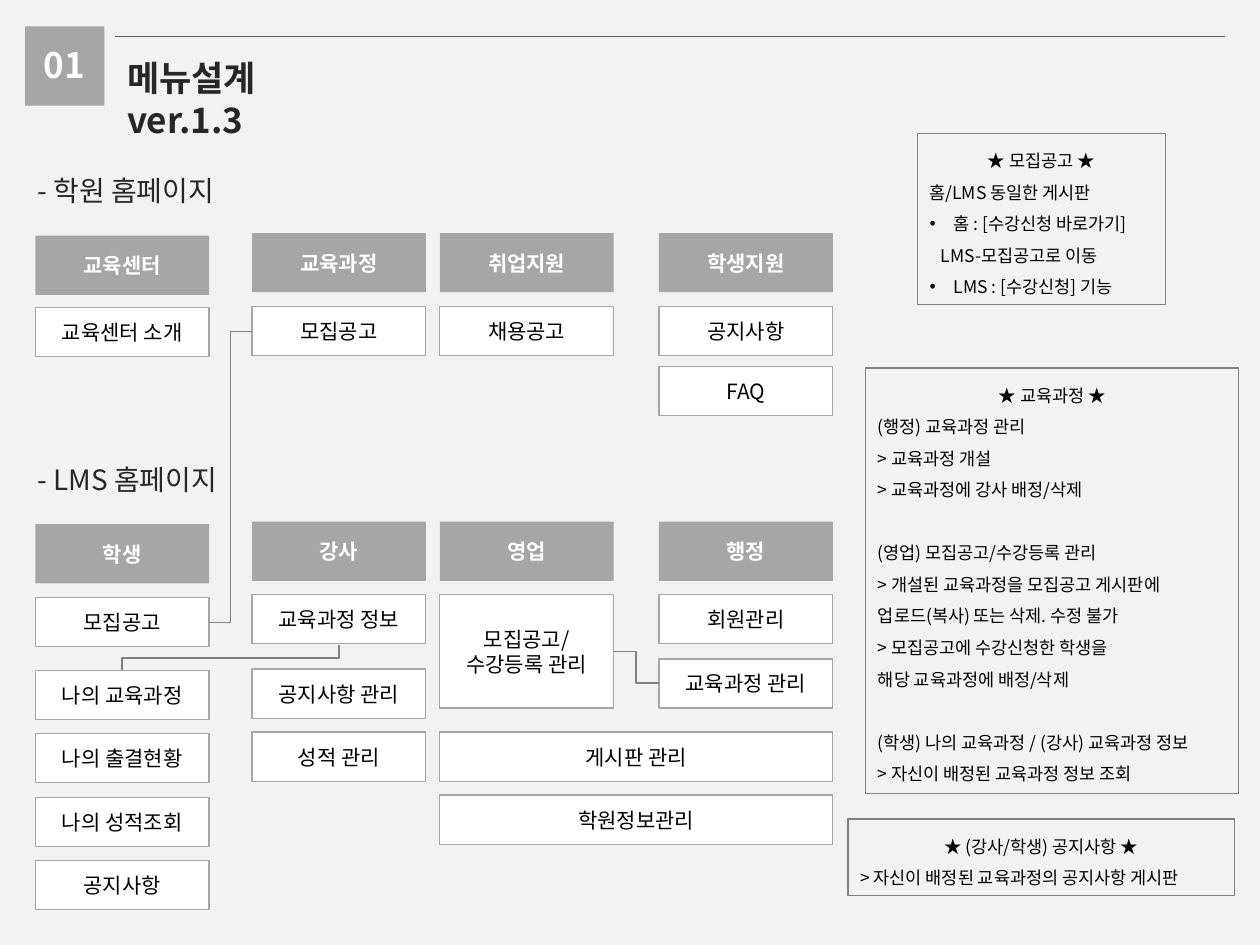
from typing import NamedTuple

from lxml.etree import SubElement
from pptx import Presentation
from pptx.dml.color import RGBColor
from pptx.enum.shapes import MSO_CONNECTOR as Link, MSO_SHAPE as Preset
from pptx.enum.text import MSO_ANCHOR as Anchor, MSO_AUTO_SIZE as Fit, PP_ALIGN as Align
from pptx.oxml.ns import qn
from pptx.util import Inches, Pt

FONT = "Noto Sans CJK KR"
GRAY, WHITE, BLACK, DARK = "A6A6A6", "FFFFFF", "000000", "262626"
COLUMNS = (0.28, 2, 3.49, 5.23)
MENU_WIDTH, WIDE, HEADER_HEIGHT, ITEM_HEIGHT = 1.38, 3.12, 0.47, 0.39


class Item(NamedTuple):
    """A white menu box."""
    text: str
    column: int
    top: float
    width: float = MENU_WIDTH
    height: float = ITEM_HEIGHT


class Line(NamedTuple):
    """A line of a note; gap is the space above it in points."""
    text: str
    gap: float = 0
    indent: float = 0
    bullet: bool = False


class Note(NamedTuple):
    """An outlined note with a centred heading."""
    left: float
    top: float
    width: float
    height: float
    heading: str
    lines: list[Line]


class Elbow(NamedTuple):
    """A bent link; a turned one leaves its box vertically."""
    start: tuple[float, float]
    end: tuple[float, float]
    turned: bool = False


HEADERS = {1.85: ("교육센터", "교육과정", "취업지원", "학생지원"),
           4.14: ("학생", "강사", "영업", "행정")}
ITEMS = [
    Item("교육센터 소개", 0, 2.44), Item("모집공고", 1, 2.43),
    Item("채용공고", 2, 2.43), Item("공지사항", 3, 2.43), Item("FAQ", 3, 2.91),
    Item("모집공고", 0, 4.74), Item("나의 교육과정", 0, 5.32),
    Item("나의 출결현황", 0, 5.82), Item("나의 성적조회", 0, 6.33),
    Item("공지사항", 0, 6.83),
    Item("교육과정 정보", 1, 4.72), Item("공지사항 관리", 1, 5.31),
    Item("성적 관리", 1, 5.81),
    Item("모집공고/\n수강등록 관리", 2, 4.72, height=0.9),
    Item("회원관리", 3, 4.72), Item("교육과정 관리", 3, 5.23),
    Item("게시판 관리", 2, 5.81, WIDE), Item("학원정보관리", 2, 6.31, WIDE),
]
ELBOWS = [Elbow((2.69, 5.12), (0.97, 5.32), turned=True),
          Elbow((2, 2.63), (1.66, 4.94)), Elbow((5.23, 5.42), (4.87, 5.17))]
NOTES = [
    Note(7.28, 1.06, 1.97, 1.36, "★ 모집공고 ★", [
        Line("홈/LMS 동일한 게시판"),
        Line("홈 : [수강신청 바로가기]", bullet=True),
        Line("LMS-모집공고로 이동", indent=0.09),
        Line("LMS : [수강신청] 기능", bullet=True)]),
    Note(6.87, 2.92, 2.96, 3.38, "★ 교육과정 ★", [
        Line("(행정) 교육과정 관리"),
        Line("> 교육과정 개설"),
        Line("> 교육과정에 강사 배정/삭제"),
        Line("(영업) 모집공고/수강등록 관리", gap=18),
        Line("> 개설된 교육과정을 모집공고 게시판에"),
        Line("업로드(복사) 또는 삭제. 수정 불가"),
        Line("> 모집공고에 수강신청한 학생을"),
        Line("해당 교육과정에 배정/삭제"),
        Line("(학생) 나의 교육과정 / (강사) 교육과정 정보", gap=18),
        Line("> 자신이 배정된 교육과정 정보 조회")]),
    Note(6.73, 6.5, 3.07, 0.61, "★ (강사/학생) 공지사항 ★", [
        Line("> 자신이 배정된 교육과정의 공지사항 게시판")]),
]


def rgb(value: str) -> RGBColor:
    """Turn a hex string into a colour."""
    return RGBColor.from_string(value)


def write(para, text: str, *, size: float, color: str = BLACK, bold: bool = False,
          align=Align.LEFT, spacing: float | None = None) -> None:
    """Fill a paragraph with one formatted span."""
    para.alignment = align
    para.line_spacing = spacing
    span = para.add_run()
    span.text = text
    font = span.font
    font.name, font.size, font.bold = FONT, Pt(size), bold
    font.color.rgb = rgb(color)
    SubElement(font._element, qn("a:ea"), typeface=FONT)


def add_box(page, left: float, top: float, width: float, height: float,
            fill: str | None = None, line: str | None = None):
    """Draw a flat rectangle."""
    box = page.shapes.add_shape(Preset.RECTANGLE, Inches(left), Inches(top),
                                Inches(width), Inches(height))
    box.shadow.inherit = False
    if fill:
        box.fill.solid()
        box.fill.fore_color.rgb = rgb(fill)
    else:
        box.fill.background()
    if line:
        box.line.color.rgb = rgb(line)
        box.line.width = Pt(0.75)
    else:
        box.line.fill.background()
    return box


def add_menu(page, item: Item, header: bool = False) -> None:
    """Draw a menu header or a menu item with centred text."""
    box = add_box(page, COLUMNS[item.column], item.top, item.width, item.height,
                  GRAY if header else WHITE, None if header else GRAY)
    frame = box.text_frame
    frame.vertical_anchor = Anchor.MIDDLE
    for index, text in enumerate(item.text.split("\n")):
        para = frame.add_paragraph() if index else frame.paragraphs[0]
        write(para, text, size=12, color=WHITE if header else BLACK,
              bold=header, align=Align.CENTER)


def add_label(page, text: str, left: float, top: float, width: float, height: float,
              *, size: float, color: str = DARK, bold: bool = False):
    """Add a free text and return its frame."""
    box = page.shapes.add_textbox(Inches(left), Inches(top), Inches(width), Inches(height))
    frame = box.text_frame
    frame.word_wrap = False
    frame.auto_size = Fit.SHAPE_TO_FIT_TEXT
    write(frame.paragraphs[0], text, size=size, color=color, bold=bold)
    return frame


def add_note(page, note: Note) -> None:
    """Draw a note with its heading and lines."""
    frame = add_box(page, *note[:4], line="808080").text_frame
    frame.vertical_anchor = Anchor.TOP
    frame.word_wrap = True
    frame.auto_size = Fit.SHAPE_TO_FIT_TEXT
    write(frame.paragraphs[0], note.heading, size=10, align=Align.CENTER, spacing=1.5)
    for line in note.lines:
        para = frame.add_paragraph()
        write(para, line.text, size=10, spacing=1.5)
        if line.gap:
            para.space_before = Pt(line.gap)
        props = para._p.get_or_add_pPr()
        if line.bullet:
            props.set("marL", str(Inches(0.19)))
            props.set("indent", str(-Inches(0.19)))
            SubElement(props, qn("a:buFont"), typeface="Arial")
            SubElement(props, qn("a:buChar"), char="•")
        elif line.indent:
            props.set("marL", str(Inches(line.indent)))


def add_link(page, start, end, kind=Link.ELBOW, color: str = "808080",
             width: float = 1, turned: bool = False) -> None:
    """Connect two points with a flat line."""
    (x1, y1), (x2, y2) = start, end
    if turned:
        mid_x, mid_y = (x1 + x2) / 2, (y1 + y2) / 2
        half_x, half_y = (y2 - y1) / 2, (x1 - x2) / 2
        x1, x2, y1, y2 = mid_x - half_x, mid_x + half_x, mid_y - half_y, mid_y + half_y
    link = page.shapes.add_connector(kind, Inches(x1), Inches(y1), Inches(x2), Inches(y2))
    link.line.color.rgb = rgb(color)
    link.line.width = Pt(width)
    props = link._element.spPr
    SubElement(props, qn("a:effectLst"))
    if turned:
        props.find(qn("a:xfrm")).set("rot", str(90 * 60000))


deck = Presentation()
deck.slide_width, deck.slide_height = Inches(10), Inches(7.5)
page = deck.slides.add_slide(deck.slide_layouts[6])
page.background.fill.solid()
page.background.fill.fore_color.rgb = rgb("F2F2F2")

add_box(page, 0.2, 0.21, 0.63, 0.63, GRAY)
add_label(page, "01", 0.25, 0.3, 0.53, 0.44, size=20, color=WHITE, bold=True)
add_link(page, (0.91, 0.29), (9.72, 0.29), Link.STRAIGHT, "595959", 0.75)
title = add_label(page, "메뉴설계 ver.1.3", 0.91, 0.4, 2.28, 0.44, size=20, bold=True)
title.word_wrap = True
title.margin_right = Inches(0.6)
add_label(page, "- 학원 홈페이지", 0.2, 1.33, 1.8, 0.37, size=16)
add_label(page, "- LMS 홈페이지", 0.2, 3.62, 1.78, 0.37, size=16)

for top, names in HEADERS.items():
    for column, name in enumerate(names):
        shift = 0 if column else 0.02
        add_menu(page, Item(name, column, top + shift, height=HEADER_HEIGHT), header=True)
for item in ITEMS:
    add_menu(page, item)
for elbow in ELBOWS:
    add_link(page, elbow.start, elbow.end, turned=elbow.turned)
for note in NOTES:
    add_note(page, note)

deck.save("out.pptx")
